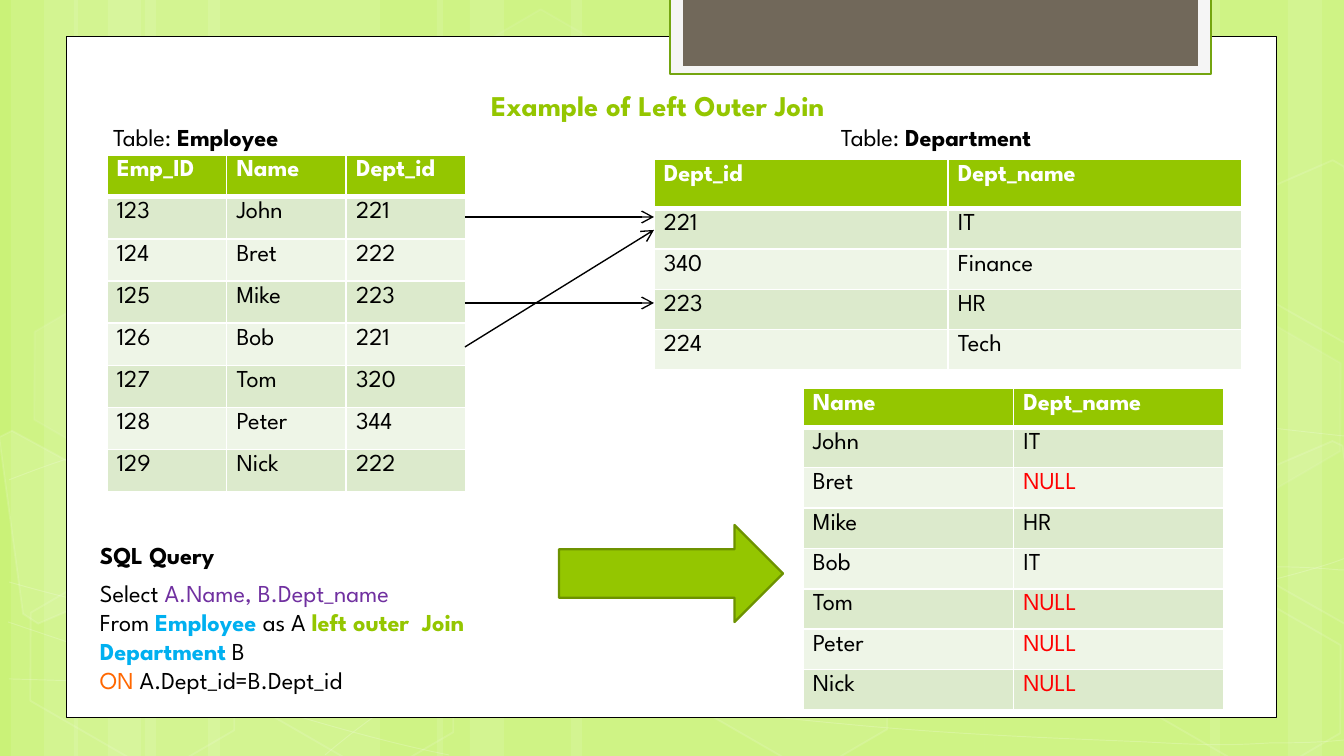
import math
from lxml import etree
from pptx import Presentation
from pptx import util as u
from pptx.dml import color as dml
from pptx.enum import shapes, text
from pptx.oxml import ns

SCALE = 914400 / 134.4
FONT = "League Spartan"
COLORS = {
    "lime": "CAF278", "white": "FFFFFF", "black": "000000", "green": "94C600",
    "edge": "6D9200", "frame": "74A510", "paper": "F5F5F5", "brown": "71685A",
    "odd": "DCEACC", "even": "EEF5E7", "red": "FF0000", "purple": "7030A0",
    "blue": "00B0F0", "orange": "FF6700",
}
BANDS = [(145, 235), (11, 67), (44, 112), (208, 235), (74, 67), (108, 112),
         (985, 235), (1288, 67), (1210, 112), (571, 414), (437, 67), (470, 112)]
CURVES = [
    [(9, 679), (82, 681), (155, 684), (255, 683), (356, 681), (481, 680), (616, 671),
     (750, 660), (941, 641), (1064, 622), (1187, 602), (1313, 573), (1353, 555)],
    [(9, 480), (48, 465), (87, 450), (163, 434), (239, 419), (348, 398), (466, 390),
     (586, 383), (731, 382), (879, 390), (1027, 398), (1273, 429), (1353, 437)],
    [(8, 622), (171, 677), (332, 732), (449, 755)],
    [(9, 582), (51, 594), (94, 605), (172, 621), (250, 637), (367, 661), (480, 679),
     (591, 695), (732, 714), (844, 724), (956, 735), (1075, 739), (1146, 742),
     (1216, 746), (1235, 745), (1270, 743), (1305, 743), (1329, 742), (1353, 739)],
    [(325, 755), (349, 735), (374, 715), (406, 696), (438, 677), (484, 657), (521, 644),
     (559, 630), (582, 624), (632, 614), (680, 603), (770, 589), (817, 582),
     (866, 575), (872, 577), (914, 574), (956, 571), (1021, 569), (1067, 567),
     (1114, 566), (1191, 567), (1191, 567), (1221, 567), (1251, 567), (1281, 567),
     (1305, 567), (1328, 569), (1340, 570), (1352, 570), (1348, 570), (1352, 571)],
]
HEXAGONS = [(449, 36, 4, 8), (668, 594, 6, 12), (15, 595, 0, 12), (19, 314, 7, 8),
            (234, 597, 0, 12), (1121, 598, 0, 12), (1121, 316, 7, 8)]
CUT_HEXAGONS = [
    ((48, 540), [(0, 437), (13, 431), (116, 487), (128, 586), (39, 624), (24, 614)], 10),
    ((1324, 524), [(1245, 478), (1333, 441), (1343, 446), (1368, 629), (1360, 633), (1257, 574)], 4),
    ((1324, 243), [(1245, 198), (1333, 160), (1344, 167), (1368, 349), (1360, 352), (1257, 293)], 0),
]
EMPLOYEES = ["Emp_ID Name Dept_id", "123 John 221", "124 Bret 222", "125 Mike 223",
             "126 Bob 221", "127 Tom 320", "128 Peter 344", "129 Nick 222"]
DEPARTMENTS = ["Dept_id Dept_name", "221 IT", "340 Finance", "223 HR", "224 Tech"]
RESULT = ["Name Dept_name", "John IT", "Bret NULL", "Mike HR", "Bob IT",
          "Tom NULL", "Peter NULL", "Nick NULL"]
QUERY = [
    [("Select ", "black", False), ("A.Name, B.Dept_name", "purple", False)],
    [("From ", "black", False), ("Employee ", "blue", True), ("as A ", "black", False),
     ("left outer  Join", "green", True)],
    [("Department", "blue", True), (" B", "black", False)],
    [("ON ", "orange", False), ("A.Dept_id=B.Dept_id", "black", False)],
]
INSETS = {"margin_left": 10, "margin_right": 10, "margin_top": 5, "margin_bottom": 5}


def px(value):
    return u.Emu(round(value * SCALE))


def rgb(name):
    return dml.RGBColor.from_string(COLORS[name])


def assign(target, values):
    for name, value in values.items():
        setattr(target, name, value)


def inset(target):
    assign(target, {side: px(value) for side, value in INSETS.items()})


def set_alpha(parent, percent):
    tint = parent.find(ns.qn("a:solidFill")).find(ns.qn("a:srgbClr"))
    etree.SubElement(tint, ns.qn("a:alpha")).set("val", str(percent * 1000))


def paint(shape, fill=None, line=None, width=1, fill_alpha=100, line_alpha=100):
    shape.shadow.inherit = False
    properties = shape.element.spPr
    if fill:
        shape.fill.solid()
        shape.fill.fore_color.rgb = rgb(fill)
        if fill_alpha < 100:
            set_alpha(properties, fill_alpha)
    else:
        shape.fill.background()
    if line:
        shape.line.color.rgb = rgb(line)
        shape.line.width = u.Pt(width)
        if line_alpha < 100:
            set_alpha(properties.find(ns.qn("a:ln")), line_alpha)
    else:
        shape.line.fill.background()


def add_preset(page, kind, bounds, **style):
    shape = page.shapes.add_shape(kind, *map(px, bounds))
    paint(shape, **style)
    return shape


def add_outline(page, points, close, **style):
    builder = page.shapes.build_freeform(*points[0], scale=SCALE)
    builder.add_line_segments(points[1:], close=close)
    shape = builder.convert_to_shape()
    paint(shape, **style)
    return shape


def bend(shape):
    outline = next(shape.element.spPr.iter(ns.qn("a:path")))
    segments = outline.findall(ns.qn("a:lnTo"))
    for start in range(0, len(segments), 3):
        curve = etree.SubElement(outline, ns.qn("a:cubicBezTo"))
        for segment in segments[start:start + 3]:
            curve.append(segment[0])
            outline.remove(segment)


def turn_back(points, centre, degrees):
    cos, sin = math.cos(math.radians(degrees)), math.sin(math.radians(degrees))
    offsets = [(x - centre[0], y - centre[1]) for x, y in points]
    return [(centre[0] + x * cos + y * sin, centre[1] - x * sin + y * cos) for x, y in offsets]


def add_span(para, words, tint="black", bold=False, size=13):
    span = para.add_run()
    span.text = words
    assign(span.font, {"name": FONT, "size": u.Pt(size), "bold": bold})
    span.font.color.rgb = rgb(tint)


def add_text(page, bounds, lines, size=13, align=text.PP_ALIGN.LEFT, anchor=text.MSO_ANCHOR.TOP):
    frame = page.shapes.add_textbox(*map(px, bounds)).text_frame
    assign(frame, {"word_wrap": True, "vertical_anchor": anchor})
    inset(frame)
    for index, spans in enumerate(lines):
        para = frame.add_paragraph() if index else frame.paragraphs[0]
        para.alignment = align
        for words, tint, bold in spans:
            add_span(para, words, tint, bold, size)


def add_borders(cell, widths):
    properties = cell._tc.get_or_add_tcPr()
    for side, width in widths.items():
        line = etree.SubElement(properties, ns.qn("a:ln" + side), w=str(u.Pt(width)))
        fill = etree.SubElement(line, ns.qn("a:solidFill"))
        etree.SubElement(fill, ns.qn("a:srgbClr"), val=COLORS["white"])


def add_grid(page, bounds, header, lines):
    rows = [line.split() for line in lines]
    grid = page.shapes.add_table(len(rows), len(rows[0]), *map(px, bounds)).table
    body = (bounds[3] - header) / (len(rows) - 1)
    for column in grid.columns:
        column.width = px(bounds[2] / len(rows[0]))
    for r, row in enumerate(rows):
        grid.rows[r].height = px(body if r else header)
        for c, words in enumerate(row):
            cell = grid.cell(r, c)
            inset(cell)
            add_borders(cell, {"L": 1, "R": 1, "T": 3 if r == 1 else 1, "B": 1 if r else 3})
            cell.fill.solid()
            cell.fill.fore_color.rgb = rgb(("odd" if r % 2 else "even") if r else "green")
            tint = "red" if words == "NULL" else "black" if r else "white"
            add_span(cell.text_frame.paragraphs[0], words, tint, r == 0)


def add_arrow(page, start, end):
    arrow = page.shapes.add_connector(shapes.MSO_CONNECTOR.STRAIGHT, *map(px, start + end))
    arrow.line.color.rgb = rgb("black")
    arrow.line.width = u.Pt(0.75)
    properties = arrow.element.spPr
    etree.SubElement(properties.find(ns.qn("a:ln")), ns.qn("a:tailEnd"), type="arrow")
    etree.SubElement(properties, ns.qn("a:effectLst"))


def add_backdrop(page):
    page.background.fill.solid()
    page.background.fill.fore_color.rgb = rgb("lime")
    box = shapes.MSO_SHAPE.RECTANGLE
    for left, width in BANDS:
        add_preset(page, box, (left, 0, width, 756), fill="white", fill_alpha=10)
    for points in CURVES:
        bend(add_outline(page, points, False, line="white", width=0.5, line_alpha=20))
    for left, top, fill_alpha, line_alpha in HEXAGONS:
        hexagon = add_preset(page, shapes.MSO_SHAPE.HEXAGON, (left, top, 235, 153),
                             fill="white" if fill_alpha else None, fill_alpha=fill_alpha,
                             line="white", line_alpha=line_alpha)
        hexagon.adjustments[0] = 0.285
        hexagon.rotation = 30
    for centre, points, fill_alpha in CUT_HEXAGONS:
        hexagon = add_outline(page, turn_back(points, centre, 30), True,
                              fill="white" if fill_alpha else None, fill_alpha=fill_alpha,
                              line="white", line_alpha=12)
        hexagon.rotation = 30
    add_preset(page, box, (67, 37, 1210, 681), fill="white", line="black", width=0.5)
    add_preset(page, box, (670, -3, 541, 77), fill="paper", line="frame", width=1.25)
    add_preset(page, box, (683, -3, 515, 69), fill="brown")


def main():
    deck = Presentation()
    assign(deck, {"slide_width": px(1344), "slide_height": px(756)})
    page = deck.slides.add_slide(deck.slide_layouts[6])
    add_backdrop(page)
    add_text(page, (142, 80, 1032, 47), [[("Example of Left Outer Join", "green", True)]],
             15.3, text.PP_ALIGN.CENTER, text.MSO_ANCHOR.BOTTOM)
    add_grid(page, (107, 155, 359, 337), 42, EMPLOYEES)
    add_grid(page, (654, 159, 588, 211), 50, DEPARTMENTS)
    add_text(page, (90, 573, 672, 128), QUERY)
    add_grid(page, (803, 388, 421, 322), 39, RESULT)
    add_text(page, (90, 535, 223, 39), [[("SQL Query", "black", True)]])
    for left, width, name in ((103, 282, "Employee"), (831, 278, "Department")):
        add_text(page, (left, 117, width, 39),
                 [[("Table: ", "black", False), (name, "black", True)]])
    for start, end in ((217, 217), (303, 303), (347, 230)):
        add_arrow(page, (465, start), (654, end))
    add_preset(page, shapes.MSO_SHAPE.RIGHT_ARROW, (559, 525, 224, 97),
               fill="green", line="edge", width=1.25)
    deck.save("out.pptx")


main()
